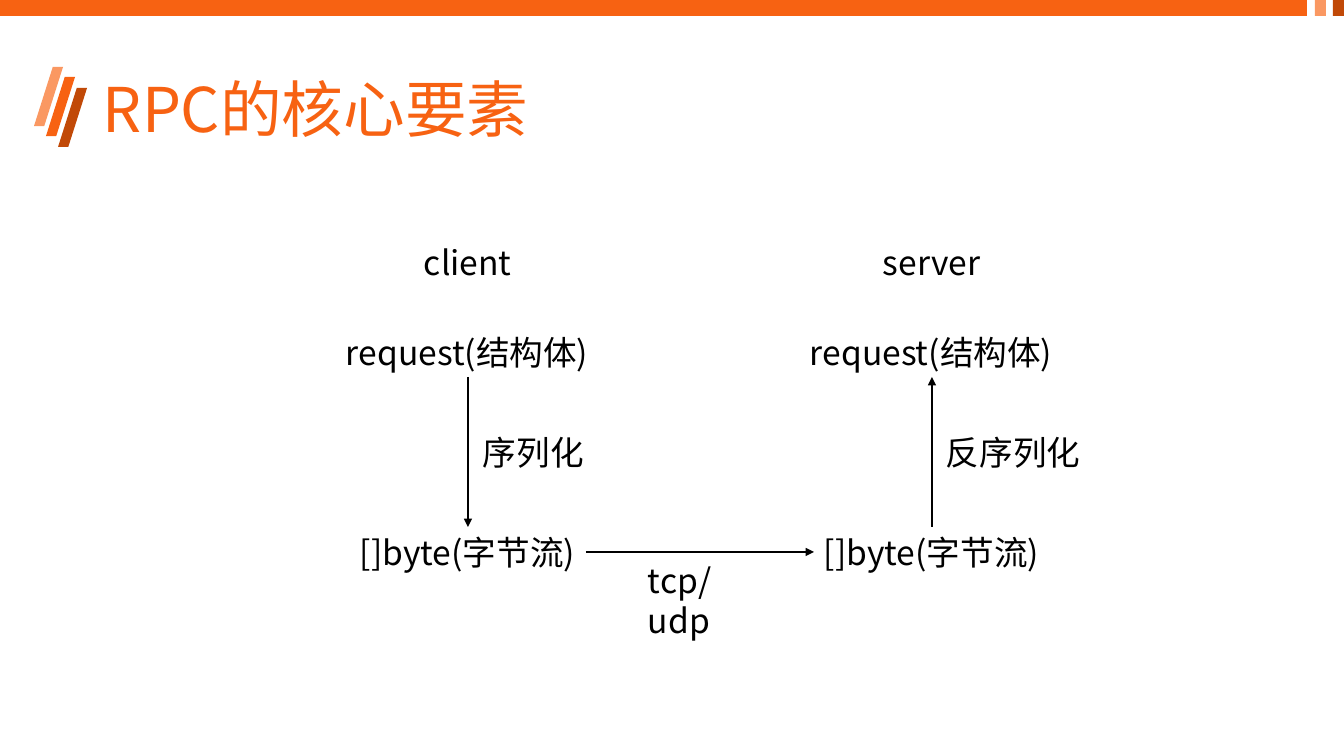
from lxml import etree
from pptx import Presentation
from pptx import util as u
from pptx.dml.color import RGBColor
from pptx.enum import shapes, text
from pptx.oxml import ns

SCALE = 12192000 / 1344  # EMU per px
FONT = "Noto Sans CJK SC"
COLORS = {"orange": "F76212", "light": "FA9862", "dark": "C14907", "ink": "000000"}
TOP, LEFT, BOTTOM, RIGHT = range(4)
COLUMN_CENTER, COLUMN_STEP = 468, 464
LINE_HEIGHT = 50
REQUEST_TOP, BYTES_TOP = 327, 527


def px(value):
    return u.Emu(round(value * SCALE))


def color(name):
    return RGBColor.from_string(COLORS[name])


def add_block(slide, kind, left, top, width, height, fill):
    shape = slide.shapes.add_shape(kind, px(left), px(top), px(width), px(height))
    shape.shadow.inherit = False
    shape.fill.solid()
    shape.fill.fore_color.rgb = color(fill)
    shape.line.fill.background()
    return shape


def add_text(slide, words, left, top, width, height=LINE_HEIGHT, size=24, ink="ink"):
    shape = slide.shapes.add_textbox(px(left), px(top), px(width), px(height))
    shape.text_frame.word_wrap = True
    run = shape.text_frame.paragraphs[0].add_run()
    run.text = words
    run.font.size = u.Pt(size)
    run.font.name = FONT
    run.font.color.rgb = color(ink)
    east_asian = etree.SubElement(run._r.get_or_add_rPr(), ns.qn("a:ea"))
    east_asian.set("typeface", FONT)
    return shape


def add_centered(slide, words, center, top, width):
    return add_text(slide, words, center - width // 2, top, width)


def add_arrow(slide, start, start_side, end, end_side):
    arrow = slide.shapes.add_connector(shapes.MSO_CONNECTOR.STRAIGHT, 0, 0, 0, 0)
    arrow.begin_connect(start, start_side)
    arrow.end_connect(end, end_side)
    arrow.line.color.rgb = color("ink")
    arrow.line.width = u.Pt(1.5)
    etree.SubElement(arrow.line._get_or_add_ln(), ns.qn("a:tailEnd")).set("type", "triangle")
    etree.SubElement(arrow._element.spPr, ns.qn("a:effectLst"))


def add_decoration(slide):
    for left, top, fill in ((46, 77, "orange"), (34, 67, "light"), (58, 88, "dark")):
        stripe = add_block(slide, shapes.MSO_SHAPE.PARALLELOGRAM, left, top, 29, 59, fill)
        stripe.adjustments[0] = 0.646
    for left, width, fill in ((0, 1307, "orange"), (1315, 11, "light"), (1333, 11, "dark")):
        add_block(slide, shapes.MSO_SHAPE.RECTANGLE, left, 0, width, 16, fill)


def add_side(slide, center, name, name_width):
    """Add one column and return its request and byte stream boxes."""
    add_centered(slide, name, center, 237, name_width)
    request = add_centered(slide, "request(结构体)", center, REQUEST_TOP, 264)
    stream = add_centered(slide, "[]byte(字节流)", center, BYTES_TOP, 236)
    return request, stream


def main():
    presentation = Presentation()
    presentation.slide_width, presentation.slide_height = px(1344), px(756)
    slide = presentation.slides.add_slide(presentation.slide_layouts[6])

    # Header bar, stripes and title
    add_decoration(slide)
    title = add_text(slide, "RPC的核心要素", 93, 40, 1159, 146, 44, "orange")
    title.text_frame.vertical_anchor = text.MSO_ANCHOR.MIDDLE
    title.text_frame.paragraphs[0].line_spacing = 0.9

    # Client and server columns
    client_request, client_bytes = add_side(slide, COLUMN_CENTER, "client", 108)
    server_request, server_bytes = add_side(slide, COLUMN_CENTER + COLUMN_STEP, "server", 118)

    # Data flow
    add_arrow(slide, client_request, BOTTOM, client_bytes, TOP)
    add_arrow(slide, client_bytes, RIGHT, server_bytes, LEFT)
    add_arrow(slide, server_bytes, TOP, server_request, BOTTOM)

    # Step labels
    add_text(slide, "序列化", 473, 427, 122)
    add_text(slide, "反序列化", 936, 427, 156)
    add_text(slide, "tcp/udp", 638, 555, 130)

    presentation.save("out.pptx")


if __name__ == "__main__":
    main()
